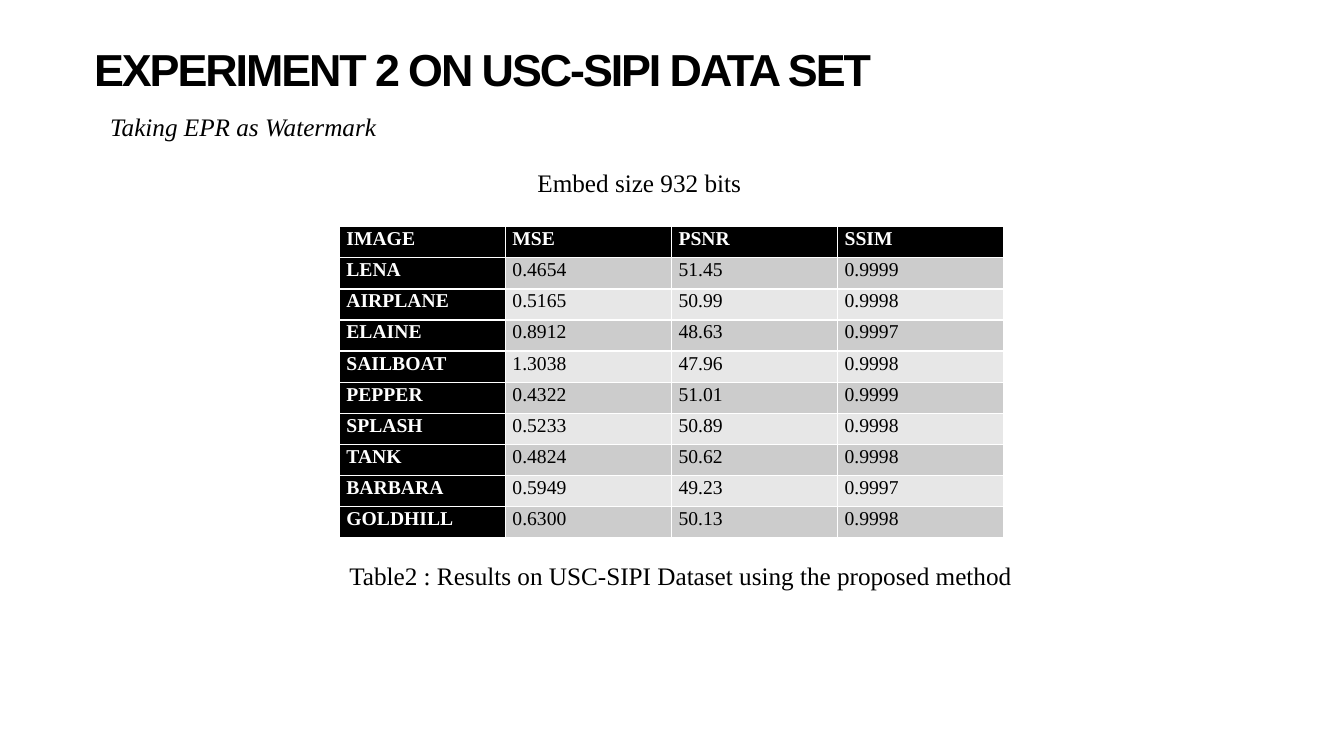
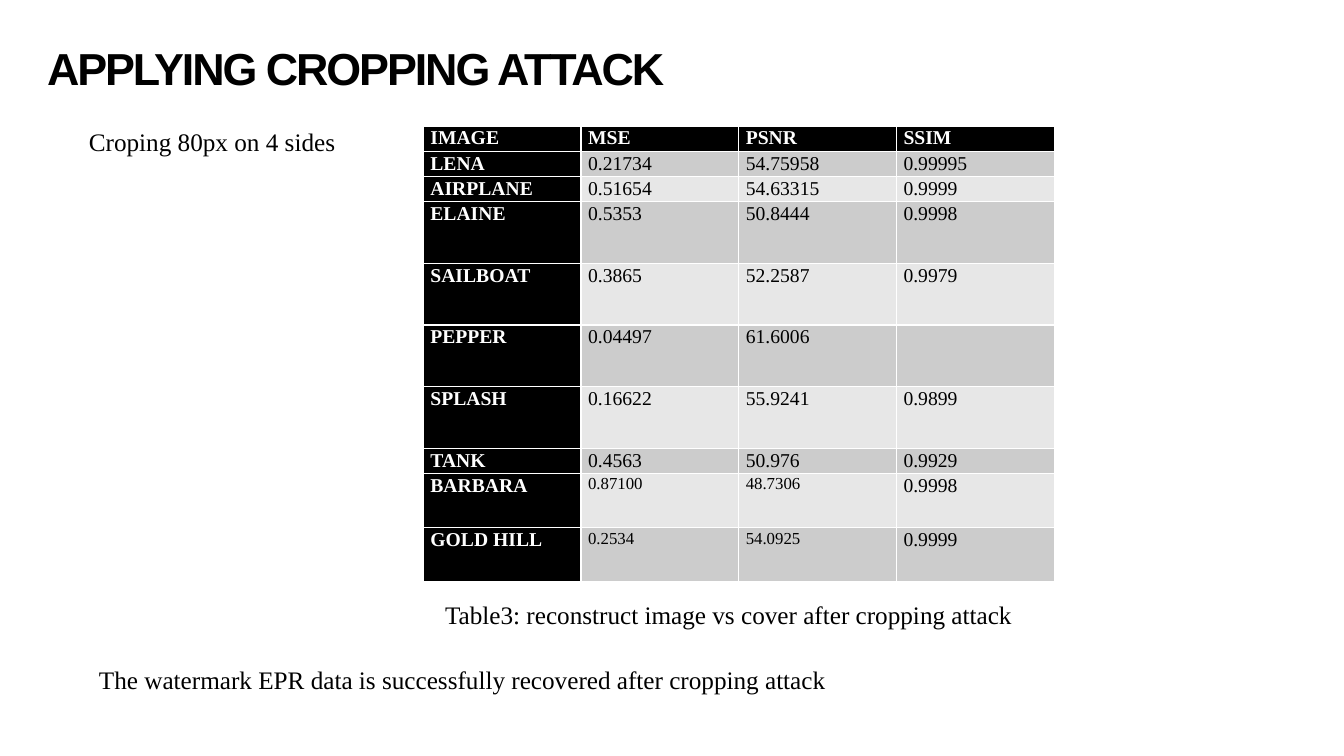
from dataclasses import dataclass

from pptx import Presentation
from pptx.dml.color import RGBColor
from pptx.enum.text import MSO_ANCHOR, MSO_AUTO_SIZE, PP_ALIGN
from pptx.util import Emu, Inches, Pt

LEFT = PP_ALIGN.LEFT
TOP, MIDDLE = MSO_ANCHOR.TOP, MSO_ANCHOR.MIDDLE
NO_FIT = MSO_AUTO_SIZE.NONE
TITLE_ONLY = 5
GRID_COLUMNS, GRID_ROWS = 160, 90


@dataclass(frozen=True)
class Theme:
    ink = RGBColor(0x00, 0x00, 0x00)
    paper = RGBColor(0xFF, 0xFF, 0xFF)
    bands = (RGBColor(0xCC, 0xCC, 0xCC), RGBColor(0xE7, 0xE7, 0xE7))
    title_font = "Arial"
    body_font = "Times New Roman"
    title_size = Pt(32)
    title_tracking = "-150"
    text_size = Pt(18)
    cell_size = Pt(14)
    small_cell_size = Pt(12)


theme = Theme()
deck = Presentation()
deck.slide_width = Inches(13.33)
deck.slide_height = Inches(7.5)


def grid(left, top, width, height):
    """Turn grid columns and rows into slide lengths."""
    column = deck.slide_width / GRID_COLUMNS
    row = deck.slide_height / GRID_ROWS
    return [Emu(int(length)) for length in
            (left * column, top * row, width * column, height * row)]


def style(paragraph, name, size, color, bold=False, italic=False):
    paragraph.alignment = LEFT
    font = paragraph.font
    font.name, font.size = name, size
    font.bold, font.italic = bold, italic
    font.color.rgb = color


HEADER = ("IMAGE", "MSE", "PSNR", "SSIM")
LINE_HEIGHT = 4.8

# Text lines: wording, left, top, width, subtitle or not
slides = [
    {
        "title": "EXPERIMENT 2 ON USC-SIPI DATA SET",
        "title_at": (11.2, 5.8),
        "lines": [
            ("Taking EPR as Watermark", 13.1, 13.7, 90.5, True),
            ("Embed size 932 bits", 62.8, 19.3, 44, False),
            ("Table2 : Results on USC-SIPI Dataset using the proposed method",
             40.4, 66.1, 84.5, False),
        ],
        "table_at": (40.4, 27, 79.1),
        "row_heights": [3.7] * 10,
        "small_cells": set(),
        "results": [
            ("LENA", "0.4654", "51.45", "0.9999"),
            ("AIRPLANE", "0.5165", "50.99", "0.9998"),
            ("ELAINE", "0.8912", "48.63", "0.9997"),
            ("SAILBOAT", "1.3038", "47.96", "0.9998"),
            ("PEPPER", "0.4322", "51.01", "0.9999"),
            ("SPLASH", "0.5233", "50.89", "0.9998"),
            ("TANK", "0.4824", "50.62", "0.9998"),
            ("BARBARA", "0.5949", "49.23", "0.9997"),
            ("GOLDHILL", "0.6300", "50.13", "0.9998"),
        ],
    },
    {
        "title": "APPLYING CROPPING ATTACK",
        "title_at": (5.6, 5.6),
        "lines": [
            ("Croping 80px on 4 sides", 9.4, 14.4, 50.2, False),
            ("Table3: reconstruct image vs cover after cropping attack",
             51.8, 70.7, 78.1, False),
            ("The watermark EPR data is successfully recovered after cropping attack",
             10.6, 78.5, 93.1, False),
        ],
        "table_at": (50.4, 15, 75.1),
        "row_heights": [3] * 3 + [7.35] * 4 + [3] + [6.45] * 2,
        "small_cells": {(8, 1), (8, 2), (9, 1), (9, 2)},
        "results": [
            ("LENA", "0.21734", "54.75958", "0.99995"),
            ("AIRPLANE", "0.51654", "54.63315", "0.9999"),
            ("ELAINE", "0.5353", "50.8444", "0.9998"),
            ("SAILBOAT", "0.3865", "52.2587", "0.9979"),
            ("PEPPER", "0.04497", "61.6006", ""),
            ("SPLASH", "0.16622", "55.9241", "0.9899"),
            ("TANK", "0.4563", "50.976", "0.9929"),
            ("BARBARA", "0.87100", "48.7306", "0.9998"),
            ("GOLD HILL", "0.2534", "54.0925", "0.9999"),
        ],
    },
]

for content in slides:
    page = deck.slides.add_slide(deck.slide_layouts[TITLE_ONLY])

    title = page.shapes.title
    title.left, title.top, title.width, title.height = grid(
        *content["title_at"], 120, 5.6)
    frame = title.text_frame
    frame.text = content["title"]
    frame.auto_size = NO_FIT
    frame.vertical_anchor = MIDDLE
    frame.margin_left = frame.margin_right = 0
    frame.margin_top = frame.margin_bottom = 0
    para = frame.paragraphs[0]
    para.line_spacing = 0.9
    style(para, theme.title_font, theme.title_size, theme.ink, bold=True)
    para.runs[0]._r.get_or_add_rPr().set("spc", theme.title_tracking)

    for wording, left, top, width, is_subtitle in content["lines"]:
        box = page.shapes.add_textbox(*grid(left, top, width, LINE_HEIGHT))
        frame = box.text_frame
        frame.word_wrap = True
        frame.text = wording
        para = frame.paragraphs[0]
        style(para, theme.body_font, theme.text_size, theme.ink,
              italic=is_subtitle)
        if is_subtitle:
            frame.margin_left = frame.margin_right = 0
            frame.margin_top = frame.margin_bottom = 0
            para.line_spacing = 0.9

    rows = [HEADER] + content["results"]
    heights = content["row_heights"]
    table = page.shapes.add_table(
        len(rows), len(HEADER),
        *grid(*content["table_at"], sum(heights))).table
    table.first_col = True
    table.horz_banding = False
    for row_index, values in enumerate(rows):
        table.rows[row_index].height = grid(0, 0, 0, heights[row_index])[3]
        for column_index, value in enumerate(values):
            is_heading = row_index == 0 or column_index == 0
            is_small = (row_index, column_index) in content["small_cells"]
            cell = table.cell(row_index, column_index)
            cell.text = value
            cell.vertical_anchor = TOP
            cell.margin_left = cell.margin_right = Inches(0.07)
            cell.margin_top = cell.margin_bottom = 0
            cell.fill.solid()
            cell.fill.fore_color.rgb = (
                theme.ink if is_heading else theme.bands[(row_index - 1) % 2])
            para = cell.text_frame.paragraphs[0]
            para.line_spacing = 1.07
            style(para, theme.body_font,
                  theme.small_cell_size if is_small else theme.cell_size,
                  theme.paper if is_heading else theme.ink, bold=is_heading)

deck.save("out.pptx")
